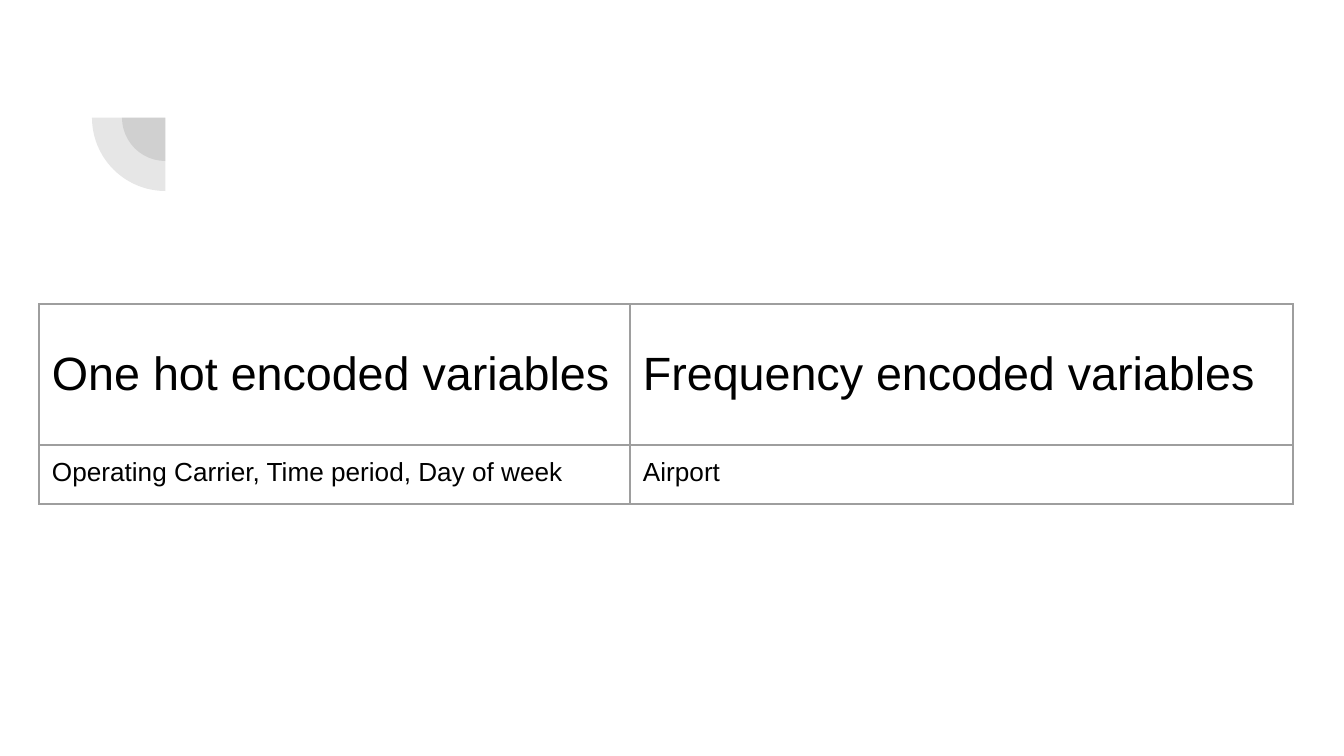
from pptx import Presentation
from pptx.dml.color import RGBColor
from pptx.enum.shapes import MSO_SHAPE as Shape
from pptx.enum.text import MSO_ANCHOR as Anchor
from pptx.oxml import parse_xml
from pptx.oxml.ns import nsdecls
from pptx.util import Pt

SCALE = 914400 / 134.4
HEAD = {"size": Pt(25), "name": "Arial"}
BODY = {"size": Pt(14), "name": "Arial"}
ROWS = [
    (141, Anchor.MIDDLE, HEAD, ["One hot encoded variables", "Frequency encoded variables"]),
    (59, Anchor.TOP, BODY, ["Operating Carrier, Time period, Day of week", "Airport"]),
]


def px(n):
    """Turn pixels into EMU."""
    return round(n * SCALE)


def paint(fill, tint):
    """Give a fill one solid colour."""
    fill.solid()
    fill.fore_color.rgb = RGBColor.from_string(tint)


def edge(cell, tint):
    """Draw a thin line on all four sides of a cell."""
    props = cell._tc.get_or_add_tcPr()
    for i, side in enumerate("LRTB"):
        props.insert(i, parse_xml(
            f'<a:ln{side} {nsdecls("a")} w="{Pt(0.75)}"><a:solidFill>'
            f'<a:srgbClr val="{tint}"/></a:solidFill></a:ln{side}>'))


def arcs(slide, left, top, size):
    """Place two see-through quarter discs that share a centre."""
    for gap in (30, 0):
        side = px(size - 2 * gap)
        pie = slide.shapes.add_shape(
            Shape.PIE, px(left + gap), px(top + gap), side, side)
        pie.adjustments[0], pie.adjustments[1] = 108, 162
        pie.rotation = 270
        pie.shadow.inherit = False
        pie.line.fill.background()
        paint(pie.fill, "424242")
        tint = pie.fill._xPr.find(".//{*}srgbClr")
        tint.append(parse_xml(f'<a:alpha {nsdecls("a")} val="13000"/>'))


def grid(slide, left, top, cols, rows):
    """Place the table of encoded variables."""
    high = sum(row[0] for row in rows)
    table = slide.shapes.add_table(
        len(rows), len(cols), px(left), px(top), px(sum(cols)), px(high)).table
    table.first_row = table.horz_banding = False
    for col, wide in zip(table.columns, cols):
        col.width = px(wide)
    for row, (tall, anchor, style, words) in zip(table.rows, rows):
        row.height = px(tall)
        for cell, text in zip(row.cells, words):
            cell.text = text
            cell.vertical_anchor = anchor
            for side in ("left", "right", "top", "bottom"):
                setattr(cell, f"margin_{side}", px(13))
            cell.fill.background()
            edge(cell, "9E9E9E")
            font = cell.text_frame.paragraphs[0].runs[0].font
            for key, value in style.items():
                setattr(font, key, value)
            paint(font.fill, "000000")


def main():
    """Build the slide and save it."""
    deck = Presentation()
    deck.slide_width, deck.slide_height = px(1344), px(756)
    slide = deck.slides.add_slide(deck.slide_layouts[6])
    paint(slide.background.fill, "FFFFFF")
    arcs(slide, 92, 44, 147)
    grid(slide, 39, 304, [591, 663], ROWS)
    deck.save("out.pptx")


if __name__ == "__main__":
    main()
